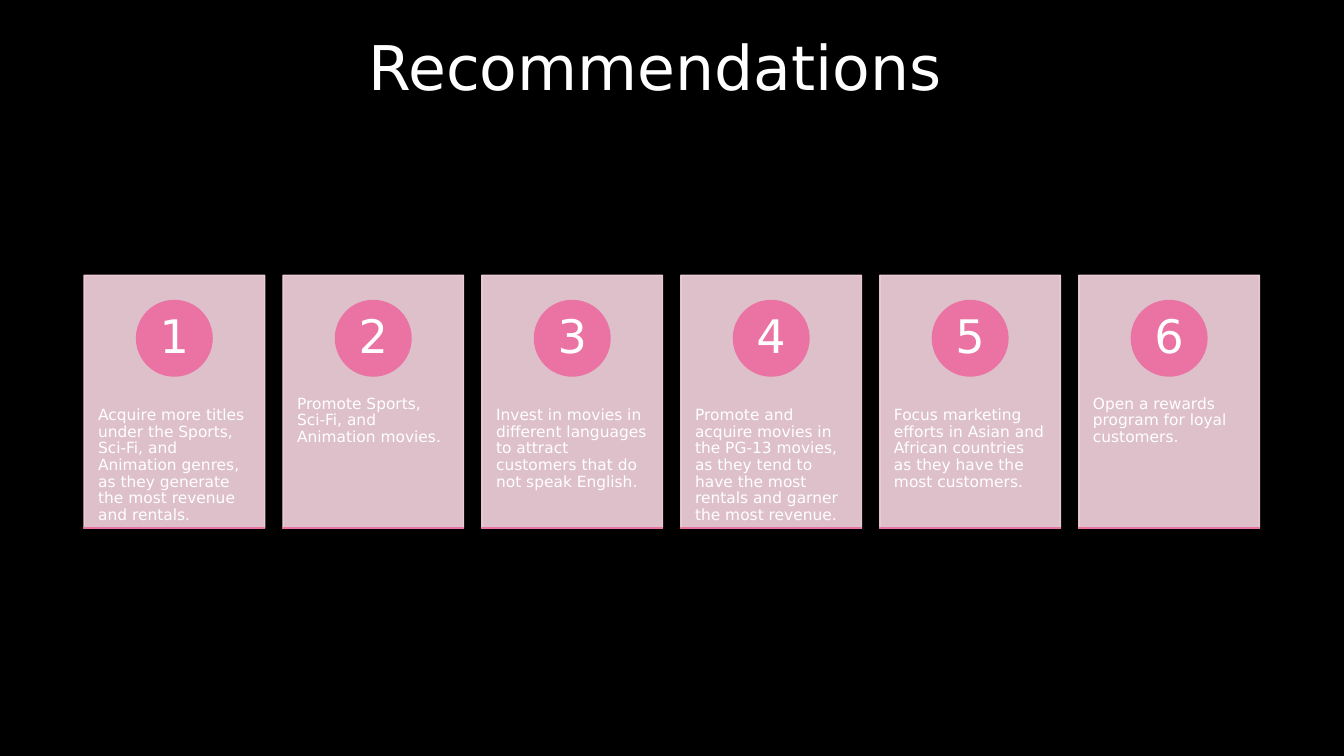
from dataclasses import dataclass

from lxml.etree import SubElement
from pptx import Presentation
from pptx.dml.color import RGBColor
from pptx.dml.fill import FillFormat
from pptx.enum.shapes import MSO_SHAPE as Preset
from pptx.enum.text import MSO_ANCHOR as Anchor, PP_ALIGN as Align
from pptx.oxml.ns import qn
from pptx.shapes.autoshape import Shape
from pptx.shapes.shapetree import GroupShapes
from pptx.text.text import TextFrame
from pptx.util import Pt

FONT = "DejaVu Sans"
WHITE, BLACK, ROSE, BLUSH = "FFFFFF", "000000", "EA73A4", "F7D5E0"

# Card grid, in points
CARD_LEFT, CARD_TOP, CARD_WIDTH, CARD_HEIGHT = 60, 196.6, 129, 180.7
CARD_PITCH = 142.12
BADGE_SIZE, BADGE_DROP = 54, 18
NUMERAL_SIZE = 38.2
ADVICE_DROP, ADVICE_HEIGHT = 68.4, 108.7


@dataclass(frozen=True)
class Box:
    left: float
    top: float
    width: float
    height: float

    def in_points(self) -> tuple[Pt, Pt, Pt, Pt]:
        return Pt(self.left), Pt(self.top), Pt(self.width), Pt(self.height)


@dataclass(frozen=True)
class Recommendation:
    number: int
    advice: str


RECOMMENDATIONS = [Recommendation(number, advice) for number, advice in enumerate([
    "Acquire more titles under the Sports, Sci-Fi, and Animation genres, "
    "as they generate the most revenue and rentals.",
    "Promote Sports, Sci-Fi, and Animation movies.",
    "Invest in movies in different languages to attract customers that do not speak English.",
    "Promote and acquire movies in the PG-13 movies, as they tend to have the most rentals "
    "and garner the most revenue.",
    "Focus marketing efforts in Asian and African countries as they have the most customers.",
    "Open a rewards program for loyal customers.",
], start=1)]


def paint(fill: FillFormat, color: str, opacity: int = 100) -> None:
    fill.solid()
    fill.fore_color.rgb = RGBColor.from_string(color)
    if opacity < 100:
        color_xml = fill.fore_color._xFill.find(qn("a:srgbClr"))
        SubElement(color_xml, qn("a:alpha"), val=str(opacity * 1000))


def write(frame: TextFrame, words: str, size: float, align: Align, anchor: Anchor) -> None:
    frame.word_wrap = True
    frame.vertical_anchor = anchor
    paragraph = frame.paragraphs[0]
    paragraph.alignment = align
    paragraph.line_spacing = 0.9
    run = paragraph.add_run()
    run.text = words
    run.font.name = FONT
    run.font.size = Pt(size)
    paint(run.font.fill, WHITE)


def add_panel(shapes: GroupShapes, preset: Preset, box: Box, color: str,
              opacity: int = 100) -> Shape:
    panel = shapes.add_shape(preset, *box.in_points())
    panel.shadow.inherit = False
    paint(panel.fill, color, opacity)
    paint(panel.line.fill, color, opacity)
    panel.line.width = Pt(1)
    return panel


def add_label(shapes: GroupShapes, box: Box, words: str, size: float, align: Align,
              anchor: Anchor, side_inset: float, end_inset: float) -> None:
    frame = shapes.add_textbox(*box.in_points()).text_frame
    frame.margin_left = frame.margin_right = Pt(side_inset)
    frame.margin_top = frame.margin_bottom = Pt(end_inset)
    write(frame, words, size, align, anchor)


def add_card(shapes: GroupShapes, item: Recommendation) -> None:
    left = CARD_LEFT + (item.number - 1) * CARD_PITCH
    badge_left = left + (CARD_WIDTH - BADGE_SIZE) / 2
    badge_top = CARD_TOP + BADGE_DROP
    numeral_gap = (BADGE_SIZE - NUMERAL_SIZE) / 2

    add_panel(shapes, Preset.RECTANGLE, Box(left, CARD_TOP, CARD_WIDTH, CARD_HEIGHT), BLUSH, 90)
    add_label(shapes, Box(left, CARD_TOP + ADVICE_DROP, CARD_WIDTH, ADVICE_HEIGHT),
              item.advice, 11, Align.LEFT, Anchor.TOP, 10.1, 26)
    add_panel(shapes, Preset.OVAL, Box(badge_left, badge_top, BADGE_SIZE, BADGE_SIZE), ROSE)
    add_label(shapes, Box(badge_left + numeral_gap, badge_top + numeral_gap,
                          NUMERAL_SIZE, NUMERAL_SIZE),
              str(item.number), 33, Align.CENTER, Anchor.MIDDLE, 4.2, 1)
    # Accent along the bottom edge
    add_panel(shapes, Preset.RECTANGLE,
              Box(left, CARD_TOP + CARD_HEIGHT, CARD_WIDTH, 0.1), ROSE)


def main() -> None:
    deck = Presentation()
    deck.slide_width, deck.slide_height = Pt(960), Pt(540)
    slide = deck.slides.add_slide(deck.slide_layouts[5])
    paint(slide.background.fill, BLACK)

    # Heading
    heading = slide.shapes.title
    heading.left, heading.top, heading.width, heading.height = Box(108, 21, 720, 59).in_points()
    write(heading.text_frame, "Recommendations", 44, Align.CENTER, Anchor.MIDDLE)

    # Numbered cards
    cards = slide.shapes.add_group_shape()
    for item in RECOMMENDATIONS:
        add_card(cards.shapes, item)

    deck.save("out.pptx")


if __name__ == "__main__":
    main()
